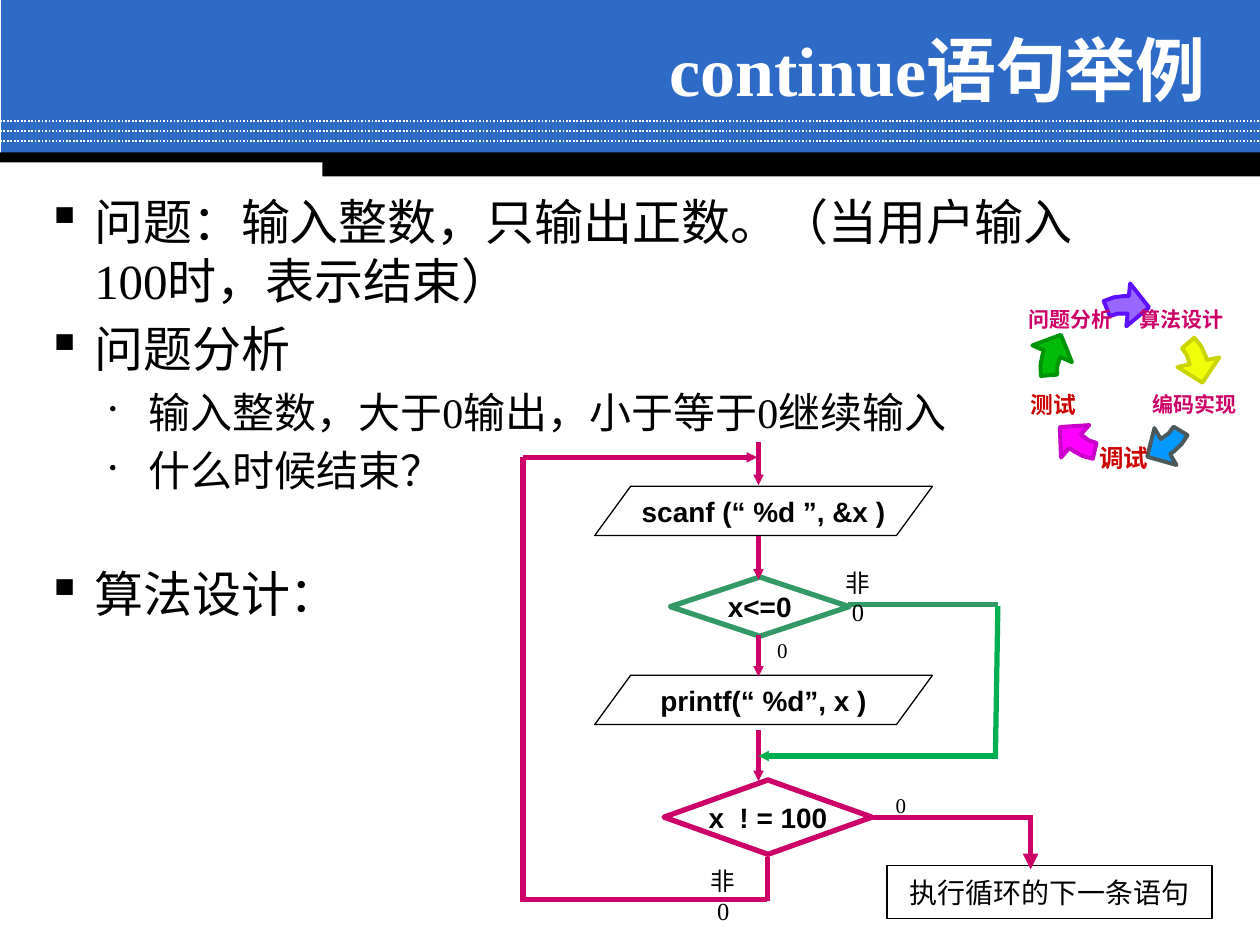
from dataclasses import dataclass
from math import cos, radians, sin

from lxml.etree import SubElement
from pptx import Presentation
from pptx.dml.color import RGBColor
from pptx.enum.dml import MSO_LINE
from pptx.enum.shapes import MSO_CONNECTOR, MSO_SHAPE
from pptx.enum.text import MSO_ANCHOR, PP_ALIGN
from pptx.oxml.ns import qn
from pptx.util import Inches, Pt

SERIF, SANS = "Times New Roman", "Arial"
BLACK, WHITE, BLUE = "000000", "FFFFFF", "2D6BC7"
MAGENTA, RED, SEA_GREEN, GREEN = "CC0066", "CC0000", "339966", "00B050"


@dataclass
class Bullet:
    text: str
    level: int = 0
    before: float = 5.6


@dataclass
class Node:
    kind: MSO_SHAPE
    box: tuple
    text: str
    color: str = BLACK
    width: float = 0.75
    font: str = SANS


@dataclass
class Link:
    start: tuple
    end: tuple
    color: str = MAGENTA
    head: str = ""


@dataclass
class Label:
    text: str
    center: tuple
    size: float
    color: str = BLACK
    font: str = SERIF
    width: float = 0.9
    wrap: bool = False


BULLETS = [
    Bullet("问题：输入整数，只输出正数。（当用户输入100时，表示结束）", before=0),
    Bullet("问题分析"),
    Bullet("输入整数，大于0输出，小于等于0继续输入", 1, 4.8),
    Bullet("什么时候结束？", 1, 4.8),
    Bullet("算法设计：", before=39),
]
NODES = [
    Node(MSO_SHAPE.PARALLELOGRAM, (4.72, 3.86, 2.68, 0.39), "scanf (“ %d ”, &x )"),
    Node(MSO_SHAPE.DIAMOND, (5.32, 4.58, 1.42, 0.47), "x<=0", SEA_GREEN, 3),
    Node(MSO_SHAPE.PARALLELOGRAM, (4.72, 5.36, 2.68, 0.39), "printf(“ %d”, x )"),
    Node(MSO_SHAPE.DIAMOND, (5.27, 6.19, 1.65, 0.59), "x  ! = 100", MAGENTA, 3),
    Node(MSO_SHAPE.RECTANGLE, (7.04, 6.87, 2.58, 0.42), "执行循环的下一条语句", BLACK, 1, SERIF),
]
LINKS = [
    Link((6.02, 3.51), (6.02, 3.85), head="sm"),
    Link((6.02, 4.25), (6.02, 4.6), head="sm"),
    Link((6.02, 5.04), (6.02, 5.37), head="sm"),
    Link((6.02, 5.79), (6.02, 6.2), head="sm"),
    Link((6.93, 6.49), (8.2, 6.49)),
    Link((8.18, 6.51), (8.18, 6.9), head="med"),
    Link((6.09, 6.8), (6.09, 7.15)),
    Link((6.09, 7.14), (4.15, 7.14)),
    Link((4.15, 7.16), (4.15, 3.63)),
    Link((4.15, 3.63), (6.01, 3.63), head="sm"),
    Link((6.73, 4.8), (7.92, 4.8), SEA_GREEN),
    Link((7.92, 4.81), (7.9, 6), GREEN),
    Link((7.92, 6), (6.02, 6), GREEN, "sm"),
]
BRANCH_LABELS = [
    Label("非0", (6.81, 4.74), 14, width=0.45, wrap=True),
    Label("0", (6.21, 5.16), 12),
    Label("0", (7.15, 6.39), 12),
    Label("非0", (5.74, 7.11), 14, width=0.45, wrap=True),
]
CYCLE_LABELS = [
    Label("算法设计", (9.38, 2.53), 12, MAGENTA, SANS),
    Label("编码实现", (9.48, 3.21), 12, MAGENTA, SANS),
    Label("调试", (8.92, 3.63), 14, RED, SANS),
    Label("测试", (8.36, 3.21), 13, RED, SANS),
    Label("问题分析", (8.5, 2.53), 12, MAGENTA, SANS),
]
CYCLE_CENTER = (8.92, 3.03)
CYCLE_ARROW = [
    (0.03, -0.54), (-0.05, -0.54), (-0.11, -0.52), (-0.16, -0.64), (-0.08, -0.67),
    (0, -0.68), (0.04, -0.68), (0.05, -0.78), (0.2, -0.59), (0.02, -0.44),
]
CYCLE_COLORS = [
    ("9966FF", "5F0FFF"), ("F1FD09", "CAD402"), ("0399FF", "4B595B"),
    ("FF00FF", "CA00CA"), ("01BD0A", "019308"),
]


def rgb(value: str) -> RGBColor:
    return RGBColor.from_string(value)


def format_runs(paragraph, size: float, color: str, font: str, bold: bool = False) -> None:
    for run in paragraph.runs:
        run.font.size = Pt(size)
        run.font.name = font
        run.font.bold = bold
        run.font.color.rgb = rgb(color)


def paint(shape, fill: str = "", line: str = "", width: float = 1) -> None:
    shape.shadow.inherit = False
    if fill:
        shape.fill.solid()
        shape.fill.fore_color.rgb = rgb(fill)
    else:
        shape.fill.background()
    if line:
        shape.line.color.rgb = rgb(line)
        shape.line.width = Pt(width)
    else:
        shape.line.fill.background()


def draw_link(shapes, link: Link, width: float = 3, dash=None) -> None:
    ends = [Inches(value) for value in (*link.start, *link.end)]
    connector = shapes.add_connector(MSO_CONNECTOR.STRAIGHT, *ends)
    connector.line.color.rgb = rgb(link.color)
    connector.line.width = Pt(width)
    if dash:
        connector.line.dash_style = dash
    if link.head:
        SubElement(connector.line._get_or_add_ln(), qn("a:tailEnd"),
                   type="triangle", w=link.head, len=link.head)
    SubElement(connector._element.spPr, qn("a:effectLst"))


def draw_header(shapes) -> None:
    bands = [((0.01, 0, 9.99, 1.23), BLUE), ((0, 1.21, 10, 0.08), BLACK),
             ((2.56, 1.24, 7.44, 0.16), BLACK)]
    for box, color in bands:
        paint(shapes.add_shape(MSO_SHAPE.RECTANGLE, *map(Inches, box)), color)
    for row in range(3):
        y = 0.96 + row * 0.08
        draw_link(shapes, Link((0, y), (10, y), WHITE), 1, MSO_LINE.ROUND_DOT)


def place_title(title) -> None:
    title.left, title.top, title.width, title.height = map(Inches, (2.75, 0.25, 6.92, 0.58))
    frame = title.text_frame
    frame.text = "continue语句举例"
    frame.vertical_anchor = MSO_ANCHOR.MIDDLE
    frame.paragraphs[0].alignment = PP_ALIGN.RIGHT
    format_runs(frame.paragraphs[0], 40, WHITE, SERIF, True)
    title._element.getparent().append(title._element)


def draw_bullets(shapes, bullets: list[Bullet]) -> None:
    frame = shapes.add_textbox(*map(Inches, (0.27, 1.47, 8.9, 5.5))).text_frame
    frame.word_wrap = True
    for index, bullet in enumerate(bullets):
        paragraph = frame.add_paragraph() if index else frame.paragraphs[0]
        paragraph.text = bullet.text
        paragraph.level = bullet.level
        paragraph.space_before = Pt(bullet.before)
        size, margin, hanging, mark, percent = [
            (28, 0.38, 0.38, "▪", 100), (24, 0.81, 0.31, "•", 50)][bullet.level]
        format_runs(paragraph, size, BLACK, SERIF)
        properties = paragraph._p.get_or_add_pPr()
        properties.set("marL", str(Inches(margin)))
        properties.set("indent", str(-Inches(hanging)))
        SubElement(properties, qn("a:buSzPct"), val=str(percent * 1000))
        SubElement(properties, qn("a:buChar"), char=mark)


def draw_node(shapes, node: Node) -> None:
    shape = shapes.add_shape(node.kind, *map(Inches, node.box))
    if node.kind == MSO_SHAPE.PARALLELOGRAM:
        shape.adjustments[0] = 0.73
    paint(shape, line=node.color, width=node.width)
    frame = shape.text_frame
    frame.text = node.text
    frame.word_wrap = False
    frame.vertical_anchor = MSO_ANCHOR.MIDDLE
    frame.paragraphs[0].alignment = PP_ALIGN.CENTER
    format_runs(frame.paragraphs[0], 16, BLACK, node.font, node.font == SANS)


def draw_label(shapes, label: Label) -> None:
    x, y = label.center
    box = (x - label.width / 2, y - 0.15, label.width, 0.3)
    frame = shapes.add_textbox(*map(Inches, box)).text_frame
    frame.text = label.text
    frame.word_wrap = label.wrap
    frame.vertical_anchor = MSO_ANCHOR.MIDDLE
    frame.paragraphs[0].alignment = PP_ALIGN.CENTER
    format_runs(frame.paragraphs[0], label.size, label.color, label.font, label.font == SANS)


def draw_cycle_arrow(shapes, angle: float, fill: str, line: str) -> None:
    c, s = cos(radians(angle)), sin(radians(angle))
    center_x, center_y = CYCLE_CENTER
    points = [(Inches(center_x + x * c - y * s), Inches(center_y + x * s + y * c))
              for x, y in CYCLE_ARROW]
    builder = shapes.build_freeform(*points[0])
    builder.add_line_segments(points[1:], close=True)
    paint(builder.convert_to_shape(), fill, line, 2.25)


def main() -> None:
    deck = Presentation()
    deck.slide_width, deck.slide_height = Inches(10), Inches(7.5)
    slide = deck.slides.add_slide(deck.slide_layouts[5])
    shapes = slide.shapes
    draw_header(shapes)
    place_title(shapes.title)
    draw_bullets(shapes, BULLETS)
    for index, (fill, line) in enumerate(CYCLE_COLORS):
        draw_cycle_arrow(shapes, index * 72, fill, line)
    for node in NODES:
        draw_node(shapes, node)
    for link in LINKS:
        draw_link(shapes, link)
    for label in CYCLE_LABELS + BRANCH_LABELS:
        draw_label(shapes, label)
    deck.save("out.pptx")


if __name__ == "__main__":
    main()
